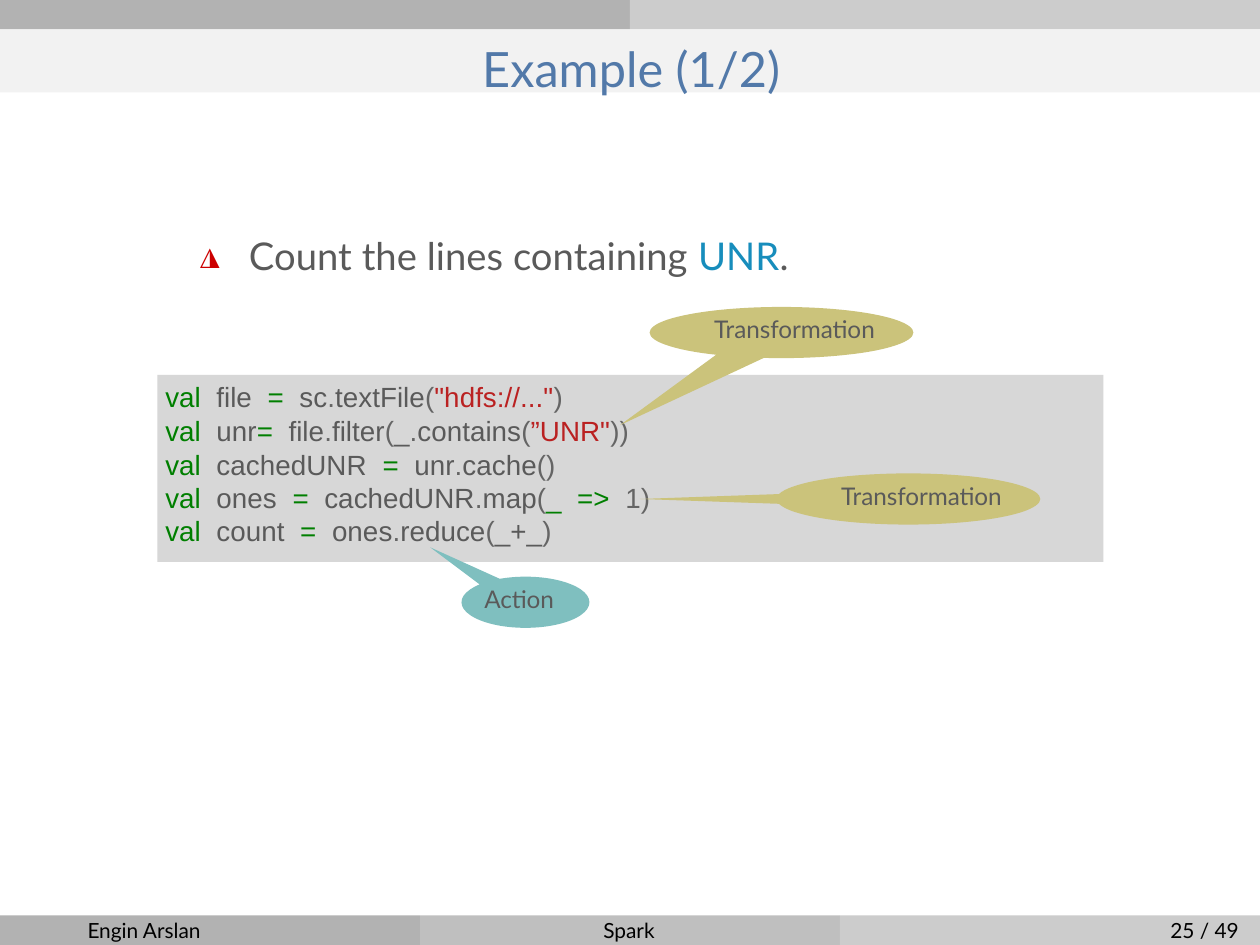
"""Build the Spark example slide with annotated code."""
from lxml import etree
from pptx import Presentation
from pptx import util as u
from pptx.dml.color import RGBColor
from pptx.enum import shapes, text
from pptx.oxml.ns import qn

HUES = {
    "dark": "B2B2B2", "mid": "BFBFBF", "light": "CCCCCC", "band": "F2F2F2",
    "panel": "D7D7D7", "title": "5279A9", "body": "5A5A5A", "link": "178DBC",
    "mark": "CC0000", "key": "007F00", "sign": "656565", "str": "BA2121",
    "gold": "CBC37B", "teal": "7FBFBF", "black": "000000",
}
WIDE, HIGH, BAR = 12.8, 9.6, 0.3
TITLE = "Example (1/2)"
POINT = [("Count the lines containing ", "body"), ("UNR", "link"), (".", "body")]
CODE = [
    [("val  ", "key"), ("file  ", "body"), ("=  ", "key"), ("sc", "body"),
     (".", "sign"), ("textFile", "body"), ("(", "sign"),
     ('"hdfs://..."', "str"), (")", "sign")],
    [("val  ", "key"), ("unr", "body"), ("=  ", "key"), ("file", "body"),
     (".", "sign"), ("filter", "body"), ("(", "sign"), ("_", "body"),
     (".", "sign"), ("contains", "body"), ("(", "sign"), ('”UNR"', "str"),
     ("))", "sign")],
    [("val  ", "key"), ("cachedUNR  ", "body"), ("=  ", "key"), ("unr", "body"),
     (".", "sign"), ("cache", "body"), ("()", "sign")],
    [("val  ", "key"), ("ones  ", "body"), ("=  ", "key"), ("cachedUNR", "body"),
     (".", "sign"), ("map", "body"), ("(", "sign"), ("_  =>  ", "key"),
     ("1)", "sign")],
    [("val  ", "key"), ("count  ", "body"), ("=  ", "key"), ("ones", "body"),
     (".", "sign"), ("reduce", "body"), ("(", "sign"), ("_+_", "body"),
     (")", "sign")],
]
GAPS = [0, 0.3, 0.3, 0, 0]
# label, fill, box, tip, right pad
CALLS = [
    ("Transformation", "gold", (6.6, 3.12, 2.68, 0.52), (6.3, 4.32), 0),
    ("Transformation", "gold", (7.89, 4.81, 2.68, 0.52), (6.5, 5.07), 0),
    ("Action", "teal", (4.69, 5.86, 1.3, 0.52), (4.37, 5.56), 0.17),
]
FOOT = [("Engin Arslan", 0.89, 2.5), ("Spark", 6.13, 0.8), ("25 / 49", 11.89, 0.85)]


def hue(name):
    return RGBColor.from_string(HUES[name])


def form(kind, box, fill):
    part = slide.shapes.add_shape(kind, *map(u.Cm, box))
    part.shadow.inherit = False
    part.fill.solid()
    part.fill.fore_color.rgb = hue(fill)
    part.line.fill.background()
    return part


def bar(box, fill):
    form(shapes.MSO_SHAPE.RECTANGLE, box, fill)


def frame(part, right=0):
    body = part.text_frame
    body.word_wrap = True
    body.vertical_anchor = text.MSO_ANCHOR.TOP
    body.margin_left = body.margin_top = body.margin_bottom = 0
    body.margin_right = u.Cm(right)
    return body


def area(*box):
    return frame(slide.shapes.add_textbox(*map(u.Cm, box)))


def style(para, face, size, tint=None):
    para.font.name, para.font.size = face, u.Pt(size)
    if tint:
        para.font.color.rgb = hue(tint)


def fill_runs(para, runs):
    for words, tint in runs:
        run = para.add_run()
        run.text = words
        run.font.color.rgb = hue(tint)


def bullet(para, sign, face, tint, size, indent):
    props = para._p.get_or_add_pPr()
    props.set("marL", str(u.Cm(indent)))
    props.set("indent", str(-u.Cm(indent - 0.03)))
    tone = etree.SubElement(props, qn("a:buClr"))
    etree.SubElement(tone, qn("a:srgbClr"), val=HUES[tint])
    etree.SubElement(props, qn("a:buSzPct"), val=str(size * 1000))
    etree.SubElement(props, qn("a:buFont"), typeface=face)
    etree.SubElement(props, qn("a:buChar"), char=sign)


deck = Presentation()
deck.slide_width, deck.slide_height = u.Cm(WIDE), u.Cm(HIGH)
slide = deck.slides.add_slide(deck.slide_layouts[5])

for top, tints in ((0, ("dark", "light")), (HIGH - BAR, ("dark", "mid", "light"))):
    step = WIDE / len(tints)
    for col, tint in enumerate(tints):
        bar((col * step, top, step, BAR), tint)
bar((0, BAR, WIDE, 0.64), "band")

head = slide.shapes.title
slide.shapes._spTree.append(head._element)
head.left, head.top, head.width, head.height = map(u.Cm, (0.13, 0.39, 12.57, 0.58))
body = frame(head)
body.text = TITLE
body.paragraphs[0].alignment = text.PP_ALIGN.CENTER
style(body.paragraphs[0], "Lato", 14, "title")

para = area(1.9, 2.36, 7.24, 0.51).paragraphs[0]
bullet(para, "◮", "Noto Sans Mono", "mark", 87, 0.63)
style(para, "Lato", 11)
fill_runs(para, POINT)

bar((1.6, 3.81, 9.61, 1.9), "panel")
body = area(1.68, 3.86, 6.35, 1.7)
for row, (runs, gap) in enumerate(zip(CODE, GAPS)):
    para = body.add_paragraph() if row else body.paragraphs[0]
    para.line_spacing = u.Pt(9.5)
    para.space_before = u.Pt(gap)
    style(para, "Arial", 8)
    fill_runs(para, runs)

for label, fill, box, tip, pad in CALLS:
    call = form(shapes.MSO_SHAPE.OVAL_CALLOUT, box, fill)
    left, top, wide, high = box
    call.adjustments[0] = (tip[0] - left) / wide - 0.5
    call.adjustments[1] = (tip[1] - top) / high - 0.5
    body = frame(call, pad)
    body.text = label
    body.paragraphs[0].alignment = text.PP_ALIGN.RIGHT
    style(body.paragraphs[0], "Lato", 7, "body")

for words, left, wide in FOOT:
    body = area(left, 9.32, wide, 0.25)
    body.text = words
    style(body.paragraphs[0], "Lato", 6, "black")

deck.save("out.pptx")
